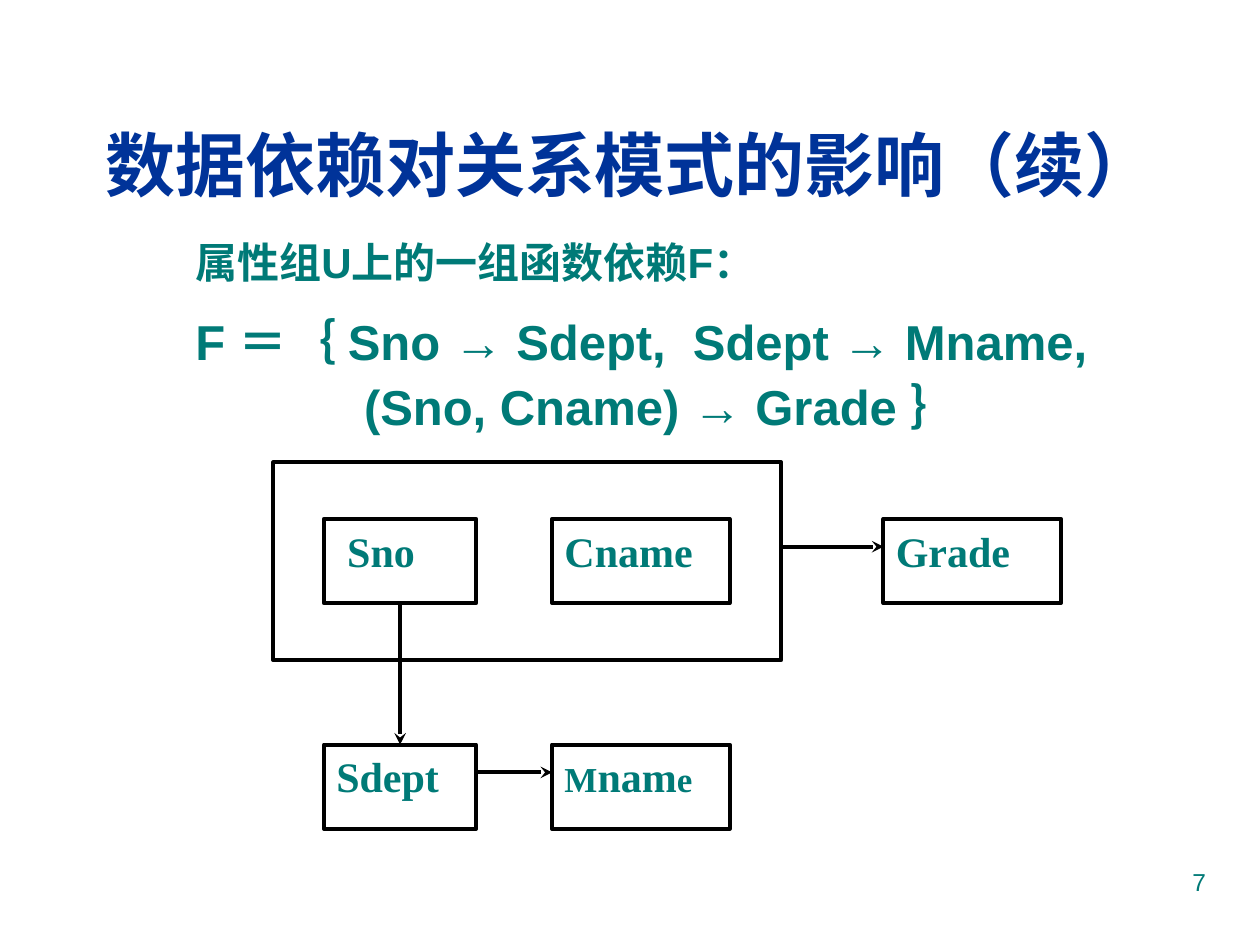
import pptx
import pptx.util
import pptx.dml.color
import pptx.enum.shapes
import pptx.enum.text
import pptx.oxml
import pptx.oxml.ns
from pptx.util import Cm, Pt

TEAL, NAVY, BLACK = "007A77", "003399", "000000"
ALIGN = pptx.enum.text.PP_ALIGN
ANCHOR = pptx.enum.text.MSO_ANCHOR

TITLE = "数据依赖对关系模式的影响（续）"
STATEMENTS = [
    dict(text="属性组U上的一组函数依赖F：", size=24, before=6, indent=0.95),
    dict(text="F ＝｛ Sno → Sdept,  Sdept → Mname,", size=28, before=7,
         indent=0.95, spacing=1.2),
    dict(text="(Sno, Cname) → Grade ｝", size=28, before=3.5, indent=4.35),
]
PAGE_NUMBER = "7"

COLUMNS = [(6.53, 3.07), (11.13, 3.58), (17.81, 3.58)]
ROWS = [10.46, 15.01]
BOX_HEIGHT = 1.7
ARROW_DROP = 0.56
KEY_GROUP = (5.51, 9.32, 10.24, 3.99)
ATTRIBUTES = {
    "Sno": dict(column=0, row=0, runs=[("Sno", 24)], indent=0.22),
    "Cname": dict(column=1, row=0, runs=[("Cname", 24)]),
    "Grade": dict(column=2, row=0, runs=[("Grade", 24)]),
    "Sdept": dict(column=0, row=1, runs=[("Sdept", 24)]),
    "Mname": dict(column=1, row=1, runs=[("M", 20), ("nam", 24), ("e", 20)]),
}


def color(value):
    return pptx.dml.color.RGBColor.from_string(value)


def write(paragraph, text, size=24, font="Arial", ink=TEAL, bold=True,
          align=ALIGN.LEFT, before=0, indent=0, spacing=None):
    run = paragraph.add_run()
    run.text = text
    run.font.size = Pt(size)
    run.font.name = font
    run.font.bold = bold
    run.font.color.rgb = color(ink)
    paragraph.alignment = align
    paragraph.space_before = Pt(before)
    if spacing:
        paragraph.line_spacing = spacing
    if indent:
        paragraph._p.get_or_add_pPr().set("marL", str(Cm(indent)))


def add_text_box(slide, *place):
    frame = slide.shapes.add_textbox(*map(Cm, place)).text_frame
    frame.word_wrap = True
    return frame


def add_box(slide, *place):
    box = slide.shapes.add_shape(
        pptx.enum.shapes.MSO_SHAPE.RECTANGLE, *map(Cm, place))
    box.shadow.inherit = False
    box.fill.background()
    box.line.color.rgb = color(BLACK)
    box.line.width = Pt(2.25)
    box.text_frame.vertical_anchor = ANCHOR.TOP
    return box


def add_arrow(slide, *ends):
    arrow = slide.shapes.add_connector(
        pptx.enum.shapes.MSO_CONNECTOR.STRAIGHT, *ends)
    arrow.line.color.rgb = color(BLACK)
    arrow.line.width = Pt(2.25)
    namespace = pptx.oxml.ns.nsdecls("a")
    arrow.line._get_or_add_ln().append(
        pptx.oxml.parse_xml(f'<a:tailEnd {namespace} type="stealth"/>'))
    arrow._element.spPr.append(
        pptx.oxml.parse_xml(f"<a:effectLst {namespace}/>"))
    return arrow


def add_side_arrow(slide, source, target):
    height = target.top + Cm(ARROW_DROP)
    add_arrow(slide, source.left + source.width, height, target.left, height)


def main():
    deck = pptx.Presentation()
    deck.slide_width, deck.slide_height = Cm(25.4), Cm(19.05)
    slide = deck.slides.add_slide(deck.slide_layouts[5])

    title = slide.shapes.title
    title.left, title.top, title.width, title.height = map(
        Cm, (0.84, 1.7, 23.72, 3.18))
    title.text_frame.vertical_anchor = ANCHOR.MIDDLE
    title.text_frame.auto_size = pptx.enum.text.MSO_AUTO_SIZE.NONE
    write(title.text_frame.paragraphs[0], TITLE, size=40, ink=NAVY,
          align=ALIGN.CENTER)

    statements = add_text_box(slide, 2.74, 4.65, 21.59, 11.43)
    for number, statement in enumerate(STATEMENTS):
        paragraph = (statements.add_paragraph() if number
                     else statements.paragraphs[0])
        write(paragraph, **statement)

    key_group = add_box(slide, *KEY_GROUP)
    boxes = {}
    for name, attribute in ATTRIBUTES.items():
        left, width = COLUMNS[attribute["column"]]
        box = add_box(slide, left, ROWS[attribute["row"]], width, BOX_HEIGHT)
        for text, size in attribute["runs"]:
            write(box.text_frame.paragraphs[0], text, size=size,
                  font="Times New Roman", align=ALIGN.JUSTIFY,
                  indent=attribute.get("indent", 0))
        boxes[name] = box

    department = add_arrow(slide, 0, 0, 0, 0)
    department.begin_connect(boxes["Sno"], 2)
    department.end_connect(boxes["Sdept"], 0)
    add_side_arrow(slide, boxes["Sdept"], boxes["Mname"])
    add_side_arrow(slide, key_group, boxes["Grade"])

    page = add_text_box(slide, 18.21, 17.35, 6.35, 1.32)
    write(page.paragraphs[0], PAGE_NUMBER, size=14, bold=False,
          align=ALIGN.RIGHT)

    deck.save("out.pptx")


if __name__ == "__main__":
    main()
